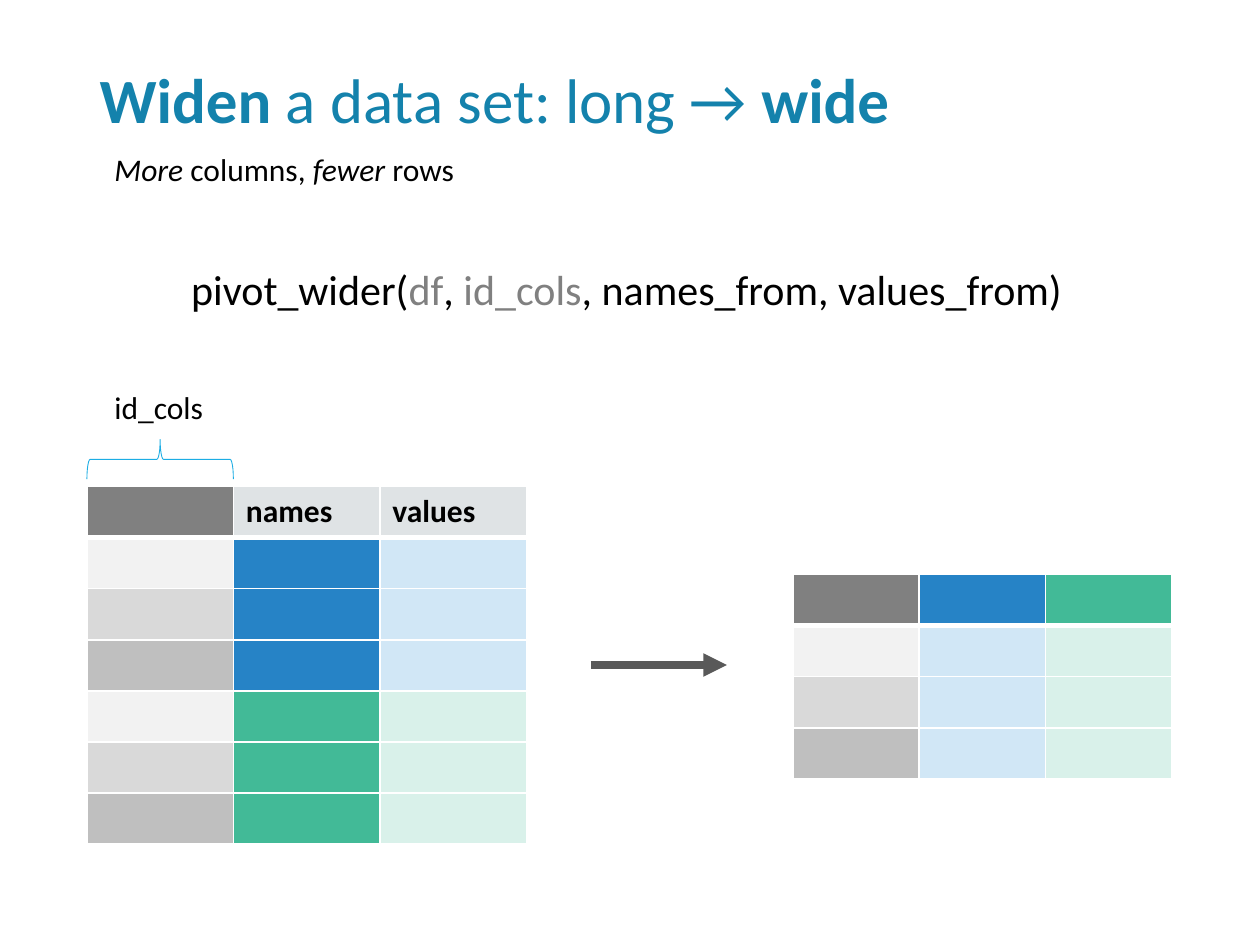
"""Build a slide that shows how pivot_wider turns a long table into a wide one."""
from lxml import etree
from pptx import Presentation
from pptx.dml.color import RGBColor
from pptx.enum.shapes import MSO_CONNECTOR, MSO_SHAPE
from pptx.enum.text import MSO_ANCHOR, MSO_AUTO_SIZE, PP_ALIGN
from pptx.oxml import parse_xml
from pptx.oxml.ns import nsdecls, qn
from pptx.util import Pt

BLACK = RGBColor(0x00, 0x00, 0x00)
TITLE = RGBColor(0x14, 0x82, 0xAC)
GRAY = RGBColor(0x80, 0x80, 0x80)
ARROW = RGBColor(0x59, 0x59, 0x59)
BRACE = RGBColor(0x1C, 0xAD, 0xE4)
HEADER = RGBColor(0xDF, 0xE3, 0xE5)
BLUE = RGBColor(0x26, 0x83, 0xC6)
PALE_BLUE = RGBColor(0xD1, 0xE7, 0xF6)
GREEN = RGBColor(0x42, 0xBA, 0x97)
PALE_GREEN = RGBColor(0xD9, 0xF1, 0xEA)
IDS = [RGBColor(0xF2, 0xF2, 0xF2), RGBColor(0xD9, 0xD9, 0xD9), RGBColor(0xBF, 0xBF, 0xBF)]
ROW_H = 29.2


def add_runs(p, size, runs):
    for text, color, bold, italic in runs:
        r = p.add_run()
        r.text = text
        r.font.name = "Calibri"
        r.font.size = Pt(size)
        r.font.color.rgb = color
        r.font.bold = bold
        r.font.italic = italic


def add_grid(slide, left, top, col_w, fills, labels):
    rows, cols = len(fills), len(fills[0])
    frame = slide.shapes.add_table(rows, cols, Pt(left), Pt(top), Pt(col_w * cols), Pt(ROW_H * rows))
    table = frame.table
    for i, row in enumerate(fills):
        table.rows[i].height = Pt(ROW_H)
        for j, color in enumerate(row):
            cell = table.cell(i, j)
            tcPr = cell._tc.get_or_add_tcPr()
            for side in "LRTB":
                width = 3 if (i, side) in ((0, "B"), (1, "T")) else 1
                tcPr.append(parse_xml(
                    f'<a:ln{side} {nsdecls("a")} w="{Pt(width)}"><a:solidFill>'
                    f'<a:srgbClr val="FFFFFF"/></a:solidFill></a:ln{side}>'))
            cell.fill.solid()
            cell.fill.fore_color.rgb = color
            if i == 0 and labels[j]:
                add_runs(cell.text_frame.paragraphs[0], 18, [(labels[j], BLACK, True, False)])


prs = Presentation()
prs.slide_width, prs.slide_height = Pt(720), Pt(540)
s = prs.slides.add_slide(prs.slide_layouts[5])

title = s.shapes.title
title.left, title.top, title.width, title.height = Pt(49.7), Pt(28.8), Pt(620.6), Pt(59.8)
title.text_frame.vertical_anchor = MSO_ANCHOR.MIDDLE
p = title.text_frame.paragraphs[0]
p.alignment = PP_ALIGN.LEFT
p.line_spacing = 0.9
add_runs(p, 36, [("Widen", TITLE, True, False),
                 (" a data set: long → ", TITLE, False, False),
                 ("wide", TITLE, True, False)])

texts = [
    (102.2, 146.9, 515.5, 36, 24, [("pivot_wider(", BLACK, False, False), ("df", GRAY, False, False),
                                   (", ", BLACK, False, False), ("id_cols", GRAY, False, False),
                                   (", names_from, values_from)", BLACK, False, False)]),
    (58.3, 82.1, 211.7, 29, 18, [("More", BLACK, False, True), (" columns, ", BLACK, False, False),
                                 ("fewer", BLACK, False, True), (" rows", BLACK, False, False)]),
    (58.3, 218.2, 66.2, 29, 18, [("id_cols", BLACK, False, False)]),
]
for left, top, width, height, size, runs in texts:
    tf = s.shapes.add_textbox(Pt(left), Pt(top), Pt(width), Pt(height)).text_frame
    tf.word_wrap = False
    tf.auto_size = MSO_AUTO_SIZE.SHAPE_TO_FIT_TEXT
    add_runs(tf.paragraphs[0], size, runs)

long_fills = [[GRAY, HEADER, HEADER]]
for name, value in ((BLUE, PALE_BLUE), (GREEN, PALE_GREEN)):
    long_fills += [[shade, name, value] for shade in IDS]
wide_fills = [[GRAY, BLUE, GREEN]] + [[shade, PALE_BLUE, PALE_GREEN] for shade in IDS]
add_grid(s, 49.7, 278, 83.7, long_fills, ["", "names", "values"])
add_grid(s, 453, 328.3, 72.2, wide_fills, ["", "", ""])

arrow = s.shapes.add_connector(MSO_CONNECTOR.STRAIGHT, Pt(337.7), Pt(380), Pt(415.4), Pt(380))
arrow.line.color.rgb = ARROW
arrow.line.width = Pt(4.5)
etree.SubElement(arrow.line._get_or_add_ln(), qn("a:tailEnd"), type="triangle")
etree.SubElement(arrow._element.spPr, qn("a:effectLst"))

brace = s.shapes.add_shape(MSO_SHAPE.RIGHT_BRACE, Pt(80.2), Pt(220.6), Pt(22.6), Pt(83.7))
brace.rotation = 270
brace.shadow.inherit = False
brace.fill.background()
brace.line.color.rgb = BRACE
brace.line.width = Pt(0.5)

prs.save("out.pptx")
